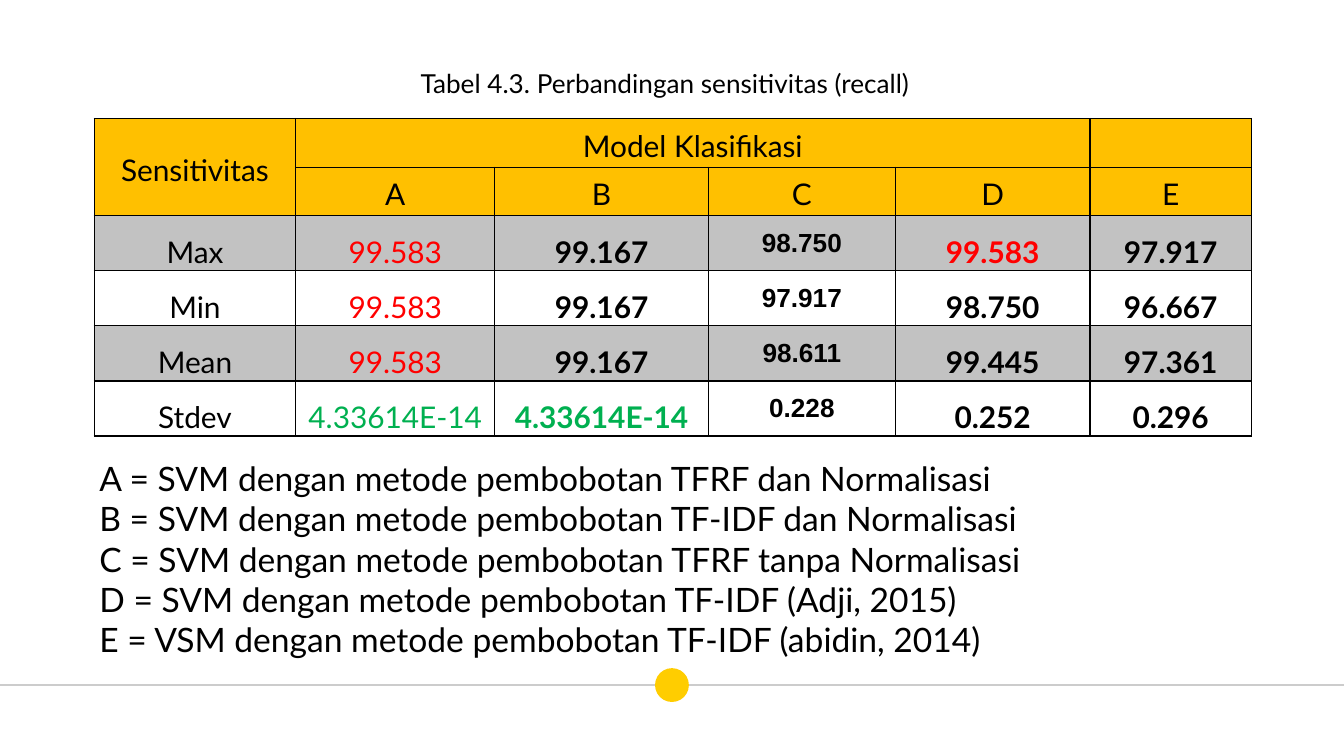
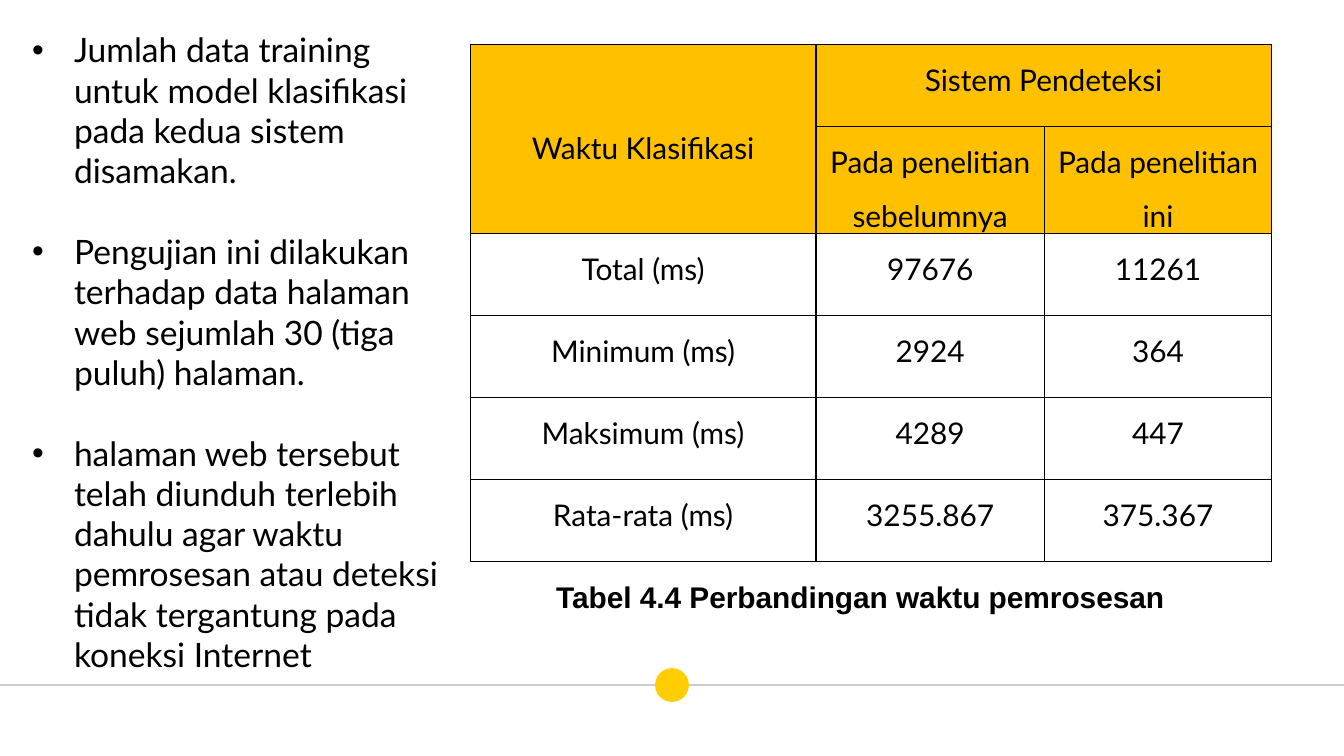
from lxml import etree
from pptx import Presentation
from pptx.dml.color import RGBColor
from pptx.enum.shapes import MSO_CONNECTOR, MSO_SHAPE
from pptx.enum.text import MSO_ANCHOR, MSO_AUTO_SIZE, PP_ALIGN
from pptx.oxml.ns import qn
from pptx.util import Cm, Pt

LINE, DOT = MSO_CONNECTOR.STRAIGHT, MSO_SHAPE.OVAL
TOP, MIDDLE = MSO_ANCHOR.TOP, MSO_ANCHOR.MIDDLE
GROW = MSO_AUTO_SIZE.SHAPE_TO_FIT_TEXT
LEFT, CENTER, JUSTIFY = PP_ALIGN.LEFT, PP_ALIGN.CENTER, PP_ALIGN.JUSTIFY

COLORS = {
    "text": "000000",
    "head": "FFC000",
    "band": "C2C2C2",
    "best": "FF0000",
    "low": "00B050",
    "rule": "CCCCCC",
    "dot": "FFCD00",
}
WIDTH, HEIGHT = 25.4, 14.29
RULE_Y, DOT_SIZE = 12.95, 0.64

RECALL = [
    ["Sensitivitas", "Model Klasifikasi", "", "", "", ""],
    ["", "A", "B", "C", "D", "E"],
    ["Max", "99.583", "99.167", "98.750", "99.583", "97.917"],
    ["Min", "99.583", "99.167", "97.917", "98.750", "96.667"],
    ["Mean", "99.583", "99.167", "98.611", "99.445", "97.361"],
    ["Stdev", "4.33614E-14", "4.33614E-14", "0.228", "0.252", "0.296"],
]
MARKS = {"99.583": "best", "4.33614E-14": "low"}
MODELS = [
    "A = SVM dengan metode pembobotan TFRF dan Normalisasi",
    "B = SVM dengan metode pembobotan TF-IDF dan Normalisasi",
    "C = SVM dengan metode pembobotan TFRF tanpa Normalisasi",
    "D = SVM dengan metode pembobotan TF-IDF (Adji, 2015)",
    "E = VSM dengan metode pembobotan TF-IDF (abidin, 2014)",
]
TIMES = [
    ["Waktu Klasifikasi", "Sistem Pendeteksi", ""],
    ["", "Pada penelitian sebelumnya", "Pada penelitian ini"],
    ["Total (ms)", "97676", "11261"],
    ["Minimum (ms)", "2924", "364"],
    ["Maksimum (ms)", "4289", "447"],
    ["Rata-rata (ms)", "3255.867", "375.367"],
]
NOTES = [
    "Jumlah data training untuk model klasifikasi pada kedua sistem disamakan.",
    "Pengujian ini dilakukan terhadap data halaman web sejumlah 30 (tiga puluh) halaman.",
    "halaman web tersebut telah diunduh terlebih dahulu agar waktu pemrosesan "
    "atau deteksi tidak tergantung pada koneksi Internet",
]


def rgb(name):
    return RGBColor.from_string(COLORS[name])


def add_run(para, text, size, font="Lato", bold=False, color="text"):
    run = para.add_run()
    run.text = text
    run.font.size = Pt(size)
    run.font.name = font
    run.font.bold = bold
    run.font.color.rgb = rgb(color)


def add_foot(slide):
    """Draw the thin rule and the dot at its middle."""
    rule = slide.shapes.add_connector(LINE, 0, Cm(RULE_Y), Cm(WIDTH), Cm(RULE_Y))
    rule.line.color.rgb = rgb("rule")
    rule.line.width = Pt(0.75)
    etree.SubElement(rule._element.spPr, qn("a:effectLst"))
    dot = slide.shapes.add_shape(DOT, Cm((WIDTH - DOT_SIZE) / 2),
                                 Cm(RULE_Y - DOT_SIZE / 2), Cm(DOT_SIZE), Cm(DOT_SIZE))
    dot.shadow.inherit = False
    dot.fill.solid()
    dot.fill.fore_color.rgb = rgb("dot")
    dot.line.fill.background()


def add_box(slide, x, y, w, h, wrap=True):
    frame = slide.shapes.add_textbox(Cm(x), Cm(y), Cm(w), Cm(h)).text_frame
    frame.word_wrap = wrap
    frame.auto_size = GROW
    return frame


def add_paras(frame, lines):
    """Yield each line with its paragraph, using the first one already there."""
    for i, line in enumerate(lines):
        yield line, frame.add_paragraph() if i else frame.paragraphs[0]


def set_bullet(para, indent):
    props = para._p.get_or_add_pPr()
    props.set("marL", str(Cm(indent)))
    props.set("indent", str(-Cm(indent)))
    etree.SubElement(props, qn("a:buFont"), typeface="Arial")
    etree.SubElement(props, qn("a:buChar"), char="•")


def set_edges(cell):
    props = cell._tc.get_or_add_tcPr()
    for side in ("lnL", "lnR", "lnT", "lnB"):
        edge = etree.SubElement(props, qn(f"a:{side}"), w=str(Pt(0.75)))
        fill = etree.SubElement(edge, qn("a:solidFill"))
        etree.SubElement(fill, qn("a:srgbClr"), val=COLORS["text"])


def add_grid(slide, x, y, cols, rows):
    """Add an empty bordered table with a two-row head."""
    grid = slide.shapes.add_table(len(rows), len(cols), Cm(x), Cm(y),
                                  Cm(sum(cols)), Cm(sum(rows))).table
    grid.first_row = grid.horz_banding = False
    for col, width in zip(grid.columns, cols):
        col.width = Cm(width)
    for r, height in enumerate(rows):
        grid.rows[r].height = Cm(height)
        for c in range(len(cols)):
            cell = grid.cell(r, c)
            set_edges(cell)
            paint(cell, "head" if r < 2 else None)
            cell.margin_left = cell.margin_right = Cm(0.18)
            cell.margin_top = cell.margin_bottom = 0
    grid.cell(0, 0).merge(grid.cell(1, 0))
    return grid


def paint(cell, color):
    if color:
        cell.fill.solid()
        cell.fill.fore_color.rgb = rgb(color)
    else:
        cell.fill.background()


def put(cell, text, space, after=None, anchor=MIDDLE, size=16, **style):
    cell.vertical_anchor = anchor
    para = cell.text_frame.paragraphs[0]
    para.alignment = CENTER
    para.line_spacing = space
    para.space_after = after
    add_run(para, text, size, **style)


def fill_recall(grid):
    for r, row in enumerate(RECALL):
        for c, text in enumerate(row):
            cell = grid.cell(r, c)
            if r in (2, 4):
                paint(cell, "band")
            if not text:
                continue
            if r < 2 or c == 0:
                put(cell, text, 1.15 if r < 2 else 1.5)
            elif c == 3:
                put(cell, text, None, size=14, font="Arial", bold=True)
            else:
                put(cell, text, 1.5, bold=c > 1, color=MARKS.get(text, "text"))


def fill_times(grid):
    for r, row in enumerate(TIMES):
        for c, text in enumerate(row):
            if text:
                put(grid.cell(r, c), text, 1.5, Pt(6), TOP if r or c else MIDDLE)


def recall_slide(slide):
    grid = add_grid(slide, 1.78, 2.24, [3.81, 3.76, 4.04, 3.53, 3.68, 3.05],
                    [0.92] * 2 + [1.04] * 4)
    grid.cell(0, 1).merge(grid.cell(0, 4))
    fill_recall(grid)

    para = add_box(slide, 7.7, 1.14, 9.83, 0.86, wrap=False).paragraphs[0]
    para.alignment = JUSTIFY
    para.space_after = Pt(6)
    add_run(para, "Tabel 4.3. Perbandingan sensitivitas (recall)", 14)

    frame = add_box(slide, 1.63, 8.53, 21.95, 4.11)
    for line, para in add_paras(frame, MODELS):
        para.alignment = LEFT if line == MODELS[-1] else JUSTIFY
        add_run(para, line, 18)


def times_slide(slide):
    grid = add_grid(slide, 8.89, 0.84, [6.53, 4.32, 4.29], [1.55] * 6)
    grid.cell(0, 1).merge(grid.cell(0, 2))
    fill_times(grid)

    para = add_box(slide, 10.26, 10.82, 12.19, 0.94, wrap=False).paragraphs[0]
    add_run(para, "Tabel 4.4 Perbandingan waktu pemrosesan", 16, "Arial", True)

    frame = add_box(slide, 0.36, 0.43, 8.51, 12.57)
    for line, para in add_paras(frame, NOTES):
        set_bullet(para, 0.79)
        if line != NOTES[0]:
            para.space_before = Pt(21.6)
        add_run(para, line, 18)


def main():
    deck = Presentation()
    deck.slide_width, deck.slide_height = Cm(WIDTH), Cm(HEIGHT)
    for build in (recall_slide, times_slide):
        slide = deck.slides.add_slide(deck.slide_layouts[6])
        add_foot(slide)
        build(slide)
    deck.save("out.pptx")


if __name__ == "__main__":
    main()
